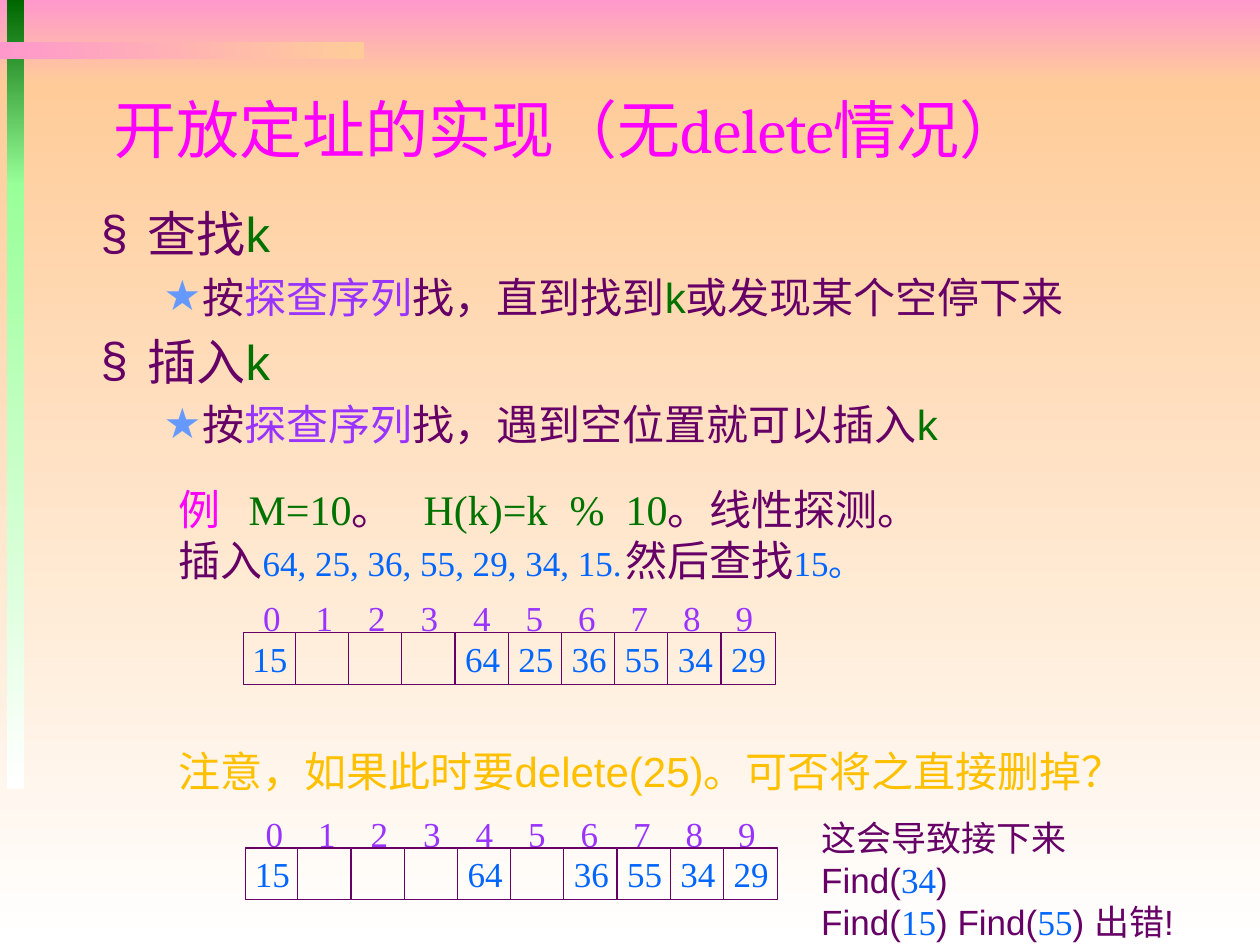
from lxml.etree import SubElement
from pptx import Presentation
from pptx.dml.color import RGBColor
from pptx.enum.shapes import MSO_CONNECTOR, MSO_SHAPE
from pptx.enum.text import MSO_ANCHOR, PP_ALIGN
from pptx.oxml.ns import qn
from pptx.util import Pt

PINK = RGBColor(0xFF, 0x99, 0xCC)
PEACH = RGBColor(0xFF, 0xCC, 0x99)
WHITE = RGBColor(0xFF, 0xFF, 0xFF)
DARK_GREEN = RGBColor(0x00, 0x66, 0x00)
LIGHT_GREEN = RGBColor(0x99, 0xFF, 0x99)
MAGENTA = RGBColor(0xFF, 0x00, 0xFF)
PLUM = RGBColor(0x66, 0x00, 0x66)
GREEN = RGBColor(0x00, 0x72, 0x00)
VIOLET = RGBColor(0x99, 0x33, 0xFF)
BLUE = RGBColor(0x00, 0x66, 0xFF)
STAR_BLUE = RGBColor(0x66, 0x99, 0xFF)
GOLD = RGBColor(0xFF, 0xC0, 0x00)
SANS, SERIF, CHINESE = "Arial", "Times New Roman", "Noto Sans CJK SC"


def write_runs(para, runs):
    """Add runs given as (text, size, font name, colour) to a paragraph."""
    for text, size, name, color in runs:
        if text == "\n":
            para.add_line_break()
            continue
        span = para.add_run()
        span.text = text
        for key, value in {"size": Pt(size), "name": name}.items():
            setattr(span.font, key, value)
        span.font.color.rgb = color
        SubElement(span.font._element, qn("a:ea"), typeface=SANS)


def add_text(frame_at, paragraphs, wrap=True, align=PP_ALIGN.LEFT, tabs=()):
    """Add a text box with one list of runs for each paragraph."""
    box = slide.shapes.add_textbox(*map(Pt, frame_at))
    box.text_frame.word_wrap = wrap
    for index, runs in enumerate(paragraphs):
        para = box.text_frame.add_paragraph() if index else box.text_frame.paragraphs[0]
        para.alignment = align
        if tabs:
            tab_list = SubElement(para._p.get_or_add_pPr(), qn("a:tabLst"))
            for stop in tabs:
                SubElement(tab_list, qn("a:tab"), pos=str(Pt(stop)), algn="l")
        write_runs(para, runs)
    return box


deck = Presentation()
deck.slide_width, deck.slide_height = Pt(720), Pt(540)
slide = deck.slides.add_slide(deck.slide_layouts[5])

# Background bands: place, first colour, last colour, angle
bands = [
    ((0, 0, 720, 48), PINK, PEACH, 270),
    ((0, 48, 720, 492), PEACH, WHITE, 270),
    ((4, 0, 10, 106), DARK_GREEN, LIGHT_GREEN, 270),
    ((4, 105, 10, 346), LIGHT_GREEN, WHITE, 270),
    ((0, 24, 208, 10), PINK, PEACH, 0),
]
for place, first, last, angle in bands:
    band = slide.shapes.add_shape(MSO_SHAPE.RECTANGLE, *map(Pt, place))
    band.shadow.inherit = False
    band.line.fill.background()
    band.fill.gradient()
    band.fill.gradient_angle = angle
    for stop, color, position in zip(band.fill.gradient_stops, (first, last), (0, 1)):
        stop.color.rgb = color
        stop.position = position

# Title, brought in front of the bands
title = slide.shapes.title
title.element.getparent().append(title.element)
title_format = {"left": 57.6, "top": 41, "width": 612, "height": 65}
for key, value in title_format.items():
    setattr(title, key, Pt(value))
title.text_frame.vertical_anchor = MSO_ANCHOR.MIDDLE
title.text_frame.paragraphs[0].alignment = PP_ALIGN.LEFT
write_runs(title.text_frame.paragraphs[0],
           [("开放定址的实现（无delete情况）", 36, "Cambria", MAGENTA)])

# Search and insert rules
steps = [
    ("查找", "找，直到找到", "或发现某个空停下来"),
    ("插入", "找，遇到空位置就可以插入", ""),
]
rules = []
for heading, action, ending in steps:
    rules.append([(heading, 28, SANS, PLUM), ("k", 28, SANS, GREEN)])
    detail = [("按", 24, SANS, PLUM), ("探查序列", 24, SANS, VIOLET),
              (action, 24, SANS, PLUM), ("k", 24, SANS, GREEN)]
    rules.append(detail + ([(ending, 24, SANS, PLUM)] if ending else []))
body = add_text((50.4, 113, 669.6, 152), rules)
for index, para in enumerate(body.text_frame.paragraphs):
    level = index % 2
    para.level = level
    para.space_before = Pt((5.6, 4.8)[level])
    properties = para._p.get_or_add_pPr()
    properties.set("marL", str(Pt((27, 58.5)[level])))
    properties.set("indent", str(Pt((-27, -22.5)[level])))
    bullet_color = SubElement(properties, qn("a:buClr"))
    SubElement(bullet_color, qn("a:srgbClr"), val=str((PLUM, STAR_BLUE)[level]))
    SubElement(properties, qn("a:buFont"), typeface=SANS)
    SubElement(properties, qn("a:buChar"), char="§★"[level])

# Worked example
add_text((95, 273, 526, 65.5), [[
    ("例\t", 24, SERIF, MAGENTA), ("M=10", 24, SERIF, GREEN),
    ("。\t", 24, SERIF, PLUM), ("H(k)=k\t%\t10", 24, SERIF, GREEN),
    ("。线性探测。", 24, SERIF, PLUM), ("\n", 24, SERIF, PLUM),
    ("插入", 24, SERIF, PLUM),
    ("64, 25, 36, 55, 29, 34, 15.\t", 20, SERIF, BLUE),
    ("然后查找", 24, CHINESE, PLUM), ("15。", 20, SERIF, BLUE),
]], tabs=(40, 140, 223.5, 255.5, 273))

add_text((95, 422.6, 566, 36),
         [[("注意，如果此时要delete(25)。可否将之直接删掉？", 24, SANS, GOLD)]], wrap=False)

# Hash tables before and after the deletion
CELL, CELL_HEIGHT, SLOTS = 30.4, 29.5, 10
before = {0: 15, 4: 64, 5: 25, 6: 36, 7: 55, 8: 34, 9: 29}
after = {slot: key for slot, key in before.items() if key != 25}
for left, top, keys in ((139, 361.5, before), (140.4, 484.5, after)):
    add_text((left + 4.3, top - 24, 297.4, 31.7),
             [[("\t".join(map(str, range(SLOTS))), 20, SERIF, VIOLET)]],
             tabs=[30 * slot for slot in range(1, SLOTS)])
    frame = slide.shapes.add_shape(MSO_SHAPE.RECTANGLE, Pt(left), Pt(top),
                                   Pt(CELL * SLOTS), Pt(CELL_HEIGHT))
    frame.shadow.inherit = False
    frame.fill.background()
    dividers = []
    for slot in range(1, SLOTS):
        x = Pt(left + CELL * slot - 0.6)
        divider = slide.shapes.add_connector(MSO_CONNECTOR.STRAIGHT, x, Pt(top),
                                             x, Pt(top + CELL_HEIGHT))
        SubElement(divider._element.spPr, qn("a:effectLst"))
        dividers.append(divider)
    for outline in [frame, *dividers]:
        outline.line.color.rgb = PLUM
        outline.line.width = Pt(0.75)
    for slot, key in keys.items():
        add_text((left + CELL * (slot + 0.5) - 17.7, top - 1, 35.4, 31.7),
                 [[(str(key), 20, SERIF, BLUE)]], align=PP_ALIGN.CENTER)

# Consequence
add_text((462.2, 463, 225.4, 55.4), [
    [("这会导致接下来Find(", 20, SANS, PLUM), ("34", 20, SERIF, BLUE), (")", 20, SANS, PLUM)],
    [("Find(", 20, SANS, PLUM), ("15", 20, SERIF, BLUE), (") Find(", 20, SANS, PLUM),
     ("55", 20, SERIF, BLUE), (") 出错!", 20, SANS, PLUM)],
])

deck.save("out.pptx")
